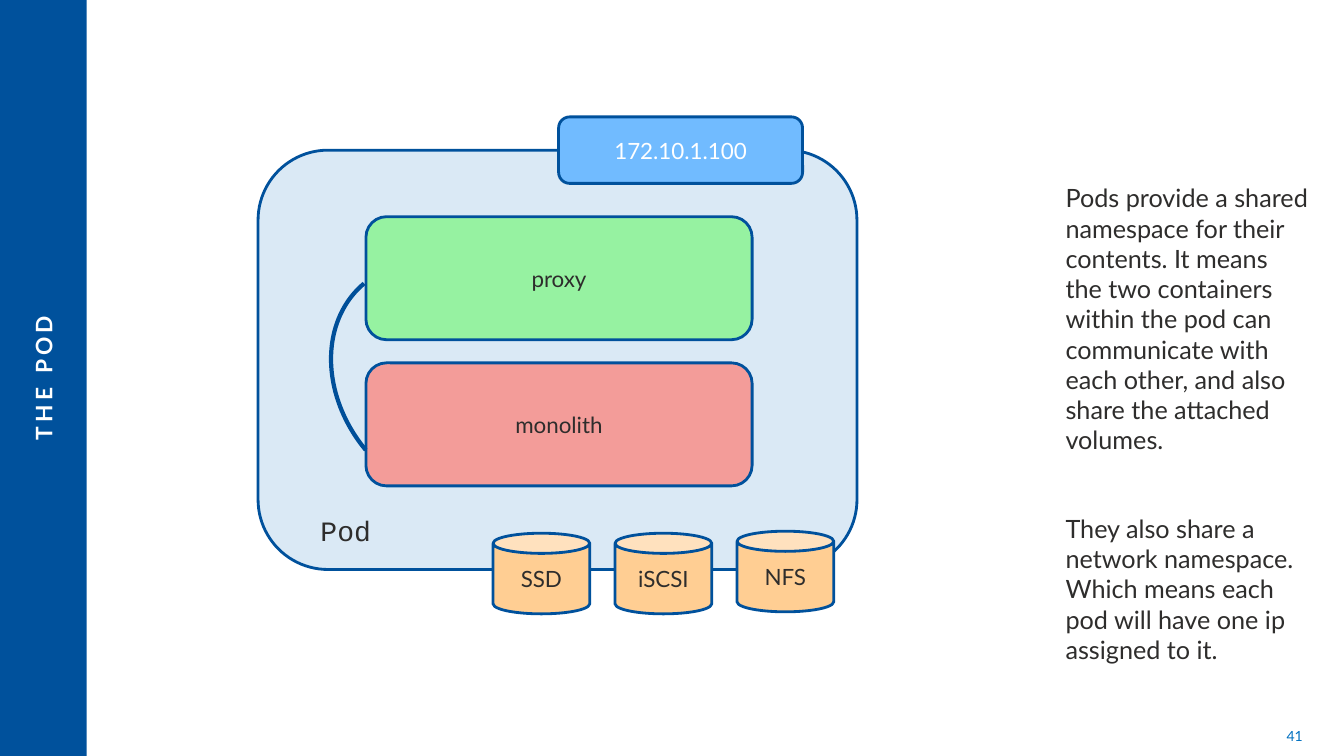
from dataclasses import dataclass

from pptx import Presentation
from pptx.dml.color import RGBColor
from pptx.enum.shapes import MSO_SHAPE as Preset
from pptx.enum.text import MSO_ANCHOR as Anchor, PP_ALIGN as Align
from pptx.shapes.autoshape import Shape
from pptx.slide import Slide
from pptx.util import Inches, Pt

COLORS = {
    "navy": "00519C",
    "arc": "004F99",
    "number": "0070C0",
    "ink": "2E2D2C",
    "white": "FFFFFF",
    "pod": "DAE9F5",
    "green": "96F2A1",
    "red": "F39C99",
    "orange": "FFCE93",
    "sky": "71BBFF",
}


@dataclass
class Box:
    left: float
    top: float
    width: float
    height: float


@dataclass
class Part:
    box: Box
    fill: str
    text: str = ""
    preset: Preset = Preset.ROUNDED_RECTANGLE
    text_color: str = "ink"


def rgb(name: str) -> RGBColor:
    return RGBColor.from_string(COLORS[name])


def write(shape: Shape, *texts: str, size: float = 16, color: str = "ink",
          font: str = "Lato", bold: bool = False, tracking: int = 0,
          align: Align = Align.CENTER, anchor: Anchor = Anchor.MIDDLE,
          wrap: bool = True, gap: float = 0) -> None:
    """Write one paragraph per text, with gap points between them."""
    frame = shape.text_frame
    frame.word_wrap = wrap
    frame.vertical_anchor = anchor
    for index, text in enumerate(texts):
        paragraph = frame.add_paragraph() if index else frame.paragraphs[0]
        paragraph.alignment = align
        if index:
            paragraph.space_before = Pt(gap)
        run = paragraph.add_run()
        run.text = text
        run.font.name = font
        run.font.size = Pt(size)
        run.font.bold = bold
        run.font.color.rgb = rgb(color)
        if tracking:
            run.font._element.set("spc", str(tracking * 100))


def add_preset(slide: Slide, preset: Preset, box: Box, fill: str | None = None,
               line: str | None = None, line_width: float = 2) -> Shape:
    shape = slide.shapes.add_shape(preset, Inches(box.left), Inches(box.top),
                                   Inches(box.width), Inches(box.height))
    shape.shadow.inherit = False
    if fill:
        shape.fill.solid()
        shape.fill.fore_color.rgb = rgb(fill)
    else:
        shape.fill.background()
    if line:
        shape.line.color.rgb = rgb(line)
        shape.line.width = Pt(line_width)
    else:
        shape.line.fill.background()
    return shape


def add_text(slide: Slide, box: Box) -> Shape:
    return slide.shapes.add_textbox(Inches(box.left), Inches(box.top),
                                    Inches(box.width), Inches(box.height))


def add_part(slide: Slide, part: Part) -> None:
    shape = add_preset(slide, part.preset, part.box, part.fill, "navy")
    if part.text:
        write(shape, part.text, color=part.text_color)


def main() -> None:
    presentation = Presentation()
    presentation.slide_width = Inches(13.33)
    presentation.slide_height = Inches(7.5)
    slide = presentation.slides.add_slide(presentation.slide_layouts[6])

    # Side bar with the title, and the page number
    add_preset(slide, Preset.RECTANGLE, Box(0, 0, 0.86, 7.5), "navy")
    title = add_text(slide, Box(-3.41, 3.59, 7.68, 0.32))
    title.rotation = 270
    write(title, "THE POD", size=16.2, color="white", bold=True, tracking=3)
    number = add_text(slide, Box(9.91, 7.1, 3.11, 0.4))
    write(number, "41", size=10, color="number", align=Align.RIGHT)

    # Explanation
    explanation = add_text(slide, Box(10.47, 1.92, 2.61, 4.72))
    write(explanation,
          "Pods provide a shared namespace for their contents. It means the two "
          "containers within the pod can communicate with each other, and also "
          "share the attached volumes.",
          "They also share a network namespace. Which means each pod will have "
          "one ip assigned to it.",
          size=18, align=Align.LEFT, anchor=Anchor.BOTTOM, gap=41.6)

    # Pod, its containers and its volumes
    add_part(slide, Part(Box(2.56, 1.49, 5.94, 4.16), "pod"))
    containers = [("proxy", "green"), ("monolith", "red")]
    for index, (name, fill) in enumerate(containers):
        add_part(slide, Part(Box(3.63, 2.15 + 1.45 * index, 3.83, 1.22), fill, name))
    volumes = [("SSD", 5.29), ("iSCSI", 5.29), ("NFS", 5.27)]
    for index, (name, top) in enumerate(volumes):
        box = Box(4.89 + 1.21 * index, top, 0.96, 0.8)
        add_part(slide, Part(box, "orange", name, Preset.CAN))
    pod_label = add_text(slide, Box(3.08, 5.05, 0.71, 0.44))
    write(pod_label, "Pod", size=20, font="Courier New", align=Align.LEFT,
          anchor=Anchor.TOP, wrap=False)

    # Address of the pod
    add_part(slide, Part(Box(5.54, 1.16, 2.42, 0.66), "sky", "172.10.1.100",
                         text_color="white"))

    # Link between the containers
    link = add_preset(slide, Preset.ARC, Box(3.15, 2.75, 2.56, 2.09),
                      line="arc", line_width=3)
    link.rotation = 230.2

    presentation.save("out.pptx")


if __name__ == "__main__":
    main()
